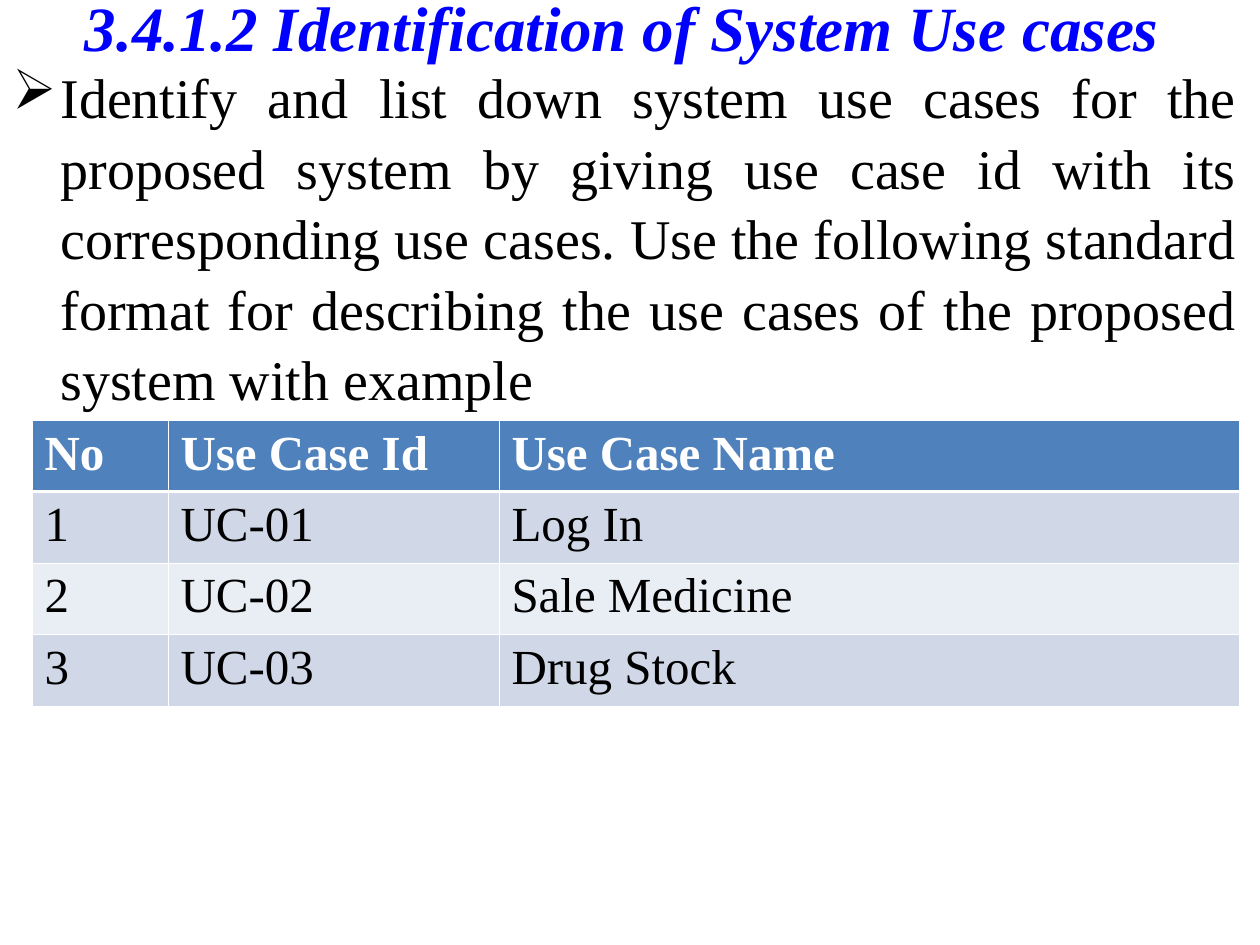
from dataclasses import dataclass

from lxml import etree
from pptx import Presentation
from pptx.dml.color import RGBColor
from pptx.enum.text import MSO_ANCHOR, PP_ALIGN
from pptx.oxml.ns import qn
from pptx.util import Emu, Pt

CENTER, JUSTIFY = PP_ALIGN.CENTER, PP_ALIGN.JUSTIFY
TOP, MIDDLE = MSO_ANCHOR.TOP, MSO_ANCHOR.MIDDLE
PX_PER_INCH = 126
EMU_PER_INCH = 914400
BLANK_LAYOUT = 6


@dataclass(frozen=True)
class Theme:
    font: str = "Times New Roman"
    title_color: str = "0000FF"
    text_color: str = "000000"
    header_color: str = "FFFFFF"
    header_fill: str = "4F81BD"
    band_fills: tuple[str, str] = ("D0D8E8", "E9EDF4")
    border_color: str = "FFFFFF"
    thin_border: float = 0.45
    thick_border: float = 1.47
    title_size: int = 36
    body_size: int = 32
    table_size: int = 28


@dataclass(frozen=True)
class Box:
    left: int
    top: int
    width: int
    height: int


@dataclass(frozen=True)
class UseCase:
    number: str
    identifier: str
    name: str


THEME = Theme()
TITLE_BOX = Box(0, 0, 1260, 53)
BODY_BOX = Box(0, 53, 1250, 892)
BULLET_INDENT = 48
TABLE_LEFT, TABLE_TOP = 32, 420
COLUMN_WIDTHS = (136, 331, 740)
ROW_HEIGHT = 71
TITLE = "3.4.1.2 Identification of System Use cases "
BODY = (
    "Identify and list down system use cases for the proposed system by giving "
    "use case id with its corresponding use cases. Use the following standard "
    "format for describing the use cases of the proposed system with example"
)
HEADER = UseCase("No", "Use Case Id", "Use Case Name")
USE_CASES = (
    UseCase("1", "UC-01", "Log In"),
    UseCase("2", "UC-02", "Sale Medicine"),
    UseCase("3", "UC-03", "Drug Stock"),
)


def px(length: int) -> Emu:
    return Emu(round(length * EMU_PER_INCH / PX_PER_INCH))


def write_text(text_frame, text: str, *, size: int, color: str = THEME.text_color,
               bold: bool = False, italic: bool = False, alignment=JUSTIFY):
    paragraph = text_frame.paragraphs[0]
    paragraph.alignment = alignment
    run = paragraph.add_run()
    run.text = text
    font = run.font
    font.name, font.size = THEME.font, Pt(size)
    font.bold, font.italic = bold, italic
    font.color.rgb = RGBColor.from_string(color)
    return paragraph


def add_text_frame(slide, box: Box, anchor=TOP):
    shape = slide.shapes.add_textbox(px(box.left), px(box.top), px(box.width), px(box.height))
    text_frame = shape.text_frame
    text_frame.word_wrap = True
    text_frame.vertical_anchor = anchor
    return text_frame


def add_bullet(paragraph, character: str, indent: int) -> None:
    properties = paragraph._p.get_or_add_pPr()
    properties.set("marL", str(px(indent)))
    properties.set("indent", str(-px(indent)))
    color = etree.SubElement(properties, qn("a:buClr"))
    etree.SubElement(color, qn("a:srgbClr"), val=THEME.text_color)
    etree.SubElement(properties, qn("a:buChar"), char=character)


def add_borders(cell, top: float, bottom: float) -> None:
    properties = cell._tc.get_or_add_tcPr()
    widths = {"L": THEME.thin_border, "R": THEME.thin_border, "T": top, "B": bottom}
    for side, width in widths.items():
        line = etree.SubElement(properties, qn(f"a:ln{side}"), w=str(Pt(width)))
        fill = etree.SubElement(line, qn("a:solidFill"))
        etree.SubElement(fill, qn("a:srgbClr"), val=THEME.border_color)


def add_use_case_table(slide, use_cases: tuple[UseCase, ...]) -> None:
    records = (HEADER, *use_cases)
    table = slide.shapes.add_table(
        len(records), len(COLUMN_WIDTHS), px(TABLE_LEFT), px(TABLE_TOP),
        px(sum(COLUMN_WIDTHS)), px(ROW_HEIGHT * len(records)),
    ).table
    for column, width in zip(table.columns, COLUMN_WIDTHS):
        column.width = px(width)
    for index, (row, record) in enumerate(zip(table.rows, records)):
        row.height = px(ROW_HEIGHT)
        is_header = index == 0
        fill = THEME.header_fill if is_header else THEME.band_fills[(index - 1) % 2]
        color = THEME.header_color if is_header else THEME.text_color
        top = THEME.thick_border if index == 1 else THEME.thin_border
        bottom = THEME.thick_border if is_header else THEME.thin_border
        for cell, text in zip(row.cells, (record.number, record.identifier, record.name)):
            add_borders(cell, top, bottom)
            cell.fill.solid()
            cell.fill.fore_color.rgb = RGBColor.from_string(fill)
            write_text(cell.text_frame, text, size=THEME.table_size, color=color, bold=is_header)


def main() -> None:
    presentation = Presentation()
    presentation.slide_width, presentation.slide_height = px(1260), px(945)
    slide = presentation.slides.add_slide(presentation.slide_layouts[BLANK_LAYOUT])
    write_text(add_text_frame(slide, TITLE_BOX, MIDDLE), TITLE, size=THEME.title_size,
               color=THEME.title_color, bold=True, italic=True, alignment=CENTER)
    body = write_text(add_text_frame(slide, BODY_BOX), BODY, size=THEME.body_size)
    add_bullet(body, "➢", BULLET_INDENT)
    body.line_spacing = 1.05
    add_use_case_table(slide, USE_CASES)
    presentation.save("out.pptx")


if __name__ == "__main__":
    main()
